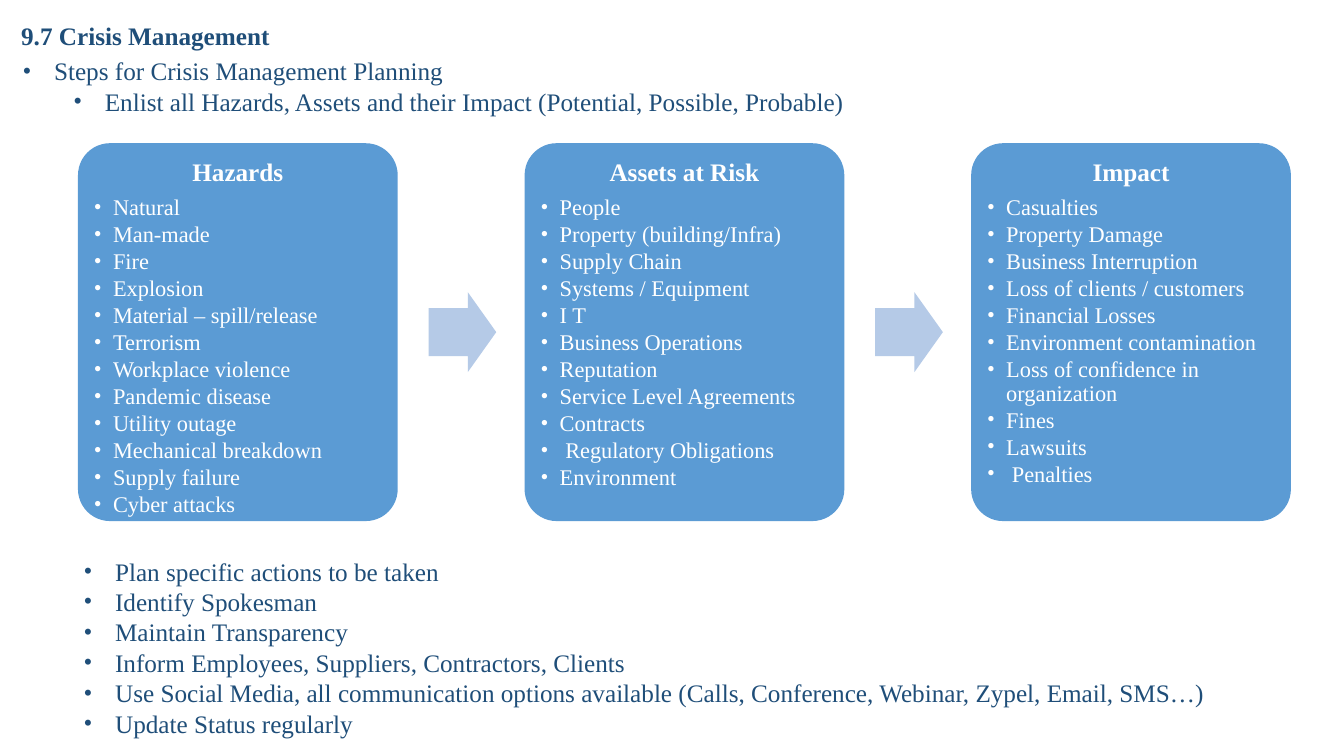
import lxml.etree
import pptx
import pptx.dml.color
import pptx.enum.shapes
import pptx.enum.text
import pptx.oxml.ns
import pptx.util

Pt = pptx.util.Pt
ALIGN = pptx.enum.text.PP_ALIGN
SHAPE = pptx.enum.shapes.MSO_SHAPE

COLOURS = {"navy": "1F4E79", "card": "5B9BD4", "arrow": "B5CAE7", "white": "FFFFFF"}

CARD_LEFT, CARD_TOP, CARD_WIDTH, CARD_HEIGHT = 55.7, 102.3, 228.4, 269.9
CARD_PITCH = 319
ARROW_WIDTH, ARROW_HEIGHT = 48.3, 57
ARROW_OFFSET = 250.5

CARDS = [
    ("Hazards", ["Natural", "Man-made", "Fire", "Explosion", "Material – spill/release",
                 "Terrorism", "Workplace violence", "Pandemic disease", "Utility outage",
                 "Mechanical breakdown", "Supply failure", "Cyber attacks"]),
    ("Assets at Risk", ["People", "Property (building/Infra)", "Supply Chain",
                        "Systems / Equipment", "I T", "Business Operations", "Reputation",
                        "Service Level Agreements", "Contracts", "Regulatory Obligations",
                        "Environment"]),
    ("Impact", ["Casualties", "Property Damage", "Business Interruption",
                "Loss of clients / customers", "Financial Losses",
                "Environment contamination", "Loss of confidence in organization",
                "Fines", "Lawsuits", "Penalties"]),
]
WIDER_INDENT = {"Regulatory Obligations", "Penalties"}
WRAPPED = {"Loss of confidence in organization"}

PLANNING = [("Steps for Crisis Management Planning", 0),
            ("Enlist all Hazards, Assets and their Impact (Potential, Possible, Probable)", 1)]
ACTIONS = [("Plan specific actions to be taken", 0),
           ("Identify Spokesman", 0),
           ("Maintain Transparency", 0),
           ("Inform Employees, Suppliers, Contractors, Clients", 0),
           ("Use Social Media, all communication options available "
            "(Calls, Conference, Webinar, Zypel, Email, SMS…)", 0),
           ("Update Status regularly", 0)]


class SlideBuilder:
    font_name = "Times New Roman"
    large, small = 18, 16

    def __init__(self, slide):
        self.slide = slide

    def colour(self, name):
        return pptx.dml.color.RGBColor.from_string(COLOURS[name])

    def frame(self, shape, side=0, top=0):
        """Set the insets of a text frame and anchor its text at the top."""
        frame = shape.text_frame
        frame.word_wrap = True
        frame.auto_size = pptx.enum.text.MSO_AUTO_SIZE.NONE
        frame.vertical_anchor = pptx.enum.text.MSO_ANCHOR.TOP
        frame.margin_left = frame.margin_right = Pt(side)
        frame.margin_top, frame.margin_bottom = Pt(top), 0
        return frame

    def set_text(self, para, text, size, colour, bold=False, align=ALIGN.LEFT,
                 before=0, line=None):
        para.text = text
        para.alignment = align
        para.space_before = Pt(before)
        para.space_after = Pt(0)
        if line:
            para.line_spacing = Pt(line)
        para.font.name = self.font_name
        para.font.size = Pt(size)
        para.font.bold = bold
        para.font.color.rgb = self.colour(colour)

    def bullet(self, para, indent, hanging):
        properties = para._p.get_or_add_pPr()
        properties.set("marL", str(Pt(indent)))
        properties.set("indent", str(-Pt(hanging)))
        for tag, key, value in (("a:buFont", "typeface", self.font_name),
                                ("a:buChar", "char", "•")):
            mark = lxml.etree.SubElement(properties, pptx.oxml.ns.qn(tag))
            mark.set(key, value)

    def placeholder(self, index, left, top, width, height):
        holder = self.slide.placeholders[index]
        holder.left, holder.top = Pt(left), Pt(top)
        holder.width, holder.height = Pt(width), Pt(height)
        return self.frame(holder)

    def title(self, text, *place):
        frame = self.placeholder(0, *place)
        self.set_text(frame.paragraphs[0], text, self.large, "navy", bold=True)

    def bullet_list(self, index, items, *place):
        frame = self.placeholder(index, *place)
        for number, (text, level) in enumerate(items):
            para = frame.add_paragraph() if number else frame.paragraphs[0]
            para.level = level
            self.bullet(para, 23.5 + 36.3 * level, 22.5)
            self.set_text(para, text, self.large, "navy", line=21.7)

    def preset(self, kind, colour, adjustments, left, top, width, height):
        shape = self.slide.shapes.add_shape(kind, Pt(left), Pt(top), Pt(width), Pt(height))
        for number, value in enumerate(adjustments):
            shape.adjustments[number] = value
        shape.shadow.inherit = False
        shape.fill.solid()
        shape.fill.fore_color.rgb = self.colour(colour)
        shape.line.fill.background()
        return shape

    def card(self, left, heading, items):
        card = self.preset(SHAPE.ROUNDED_RECTANGLE, "card", [0.1],
                           left, CARD_TOP, CARD_WIDTH, CARD_HEIGHT)
        frame = self.frame(card, side=4, top=2.5)
        self.set_text(frame.paragraphs[0], heading, self.large, "white",
                      bold=True, align=ALIGN.CENTER)
        for number, text in enumerate(items):
            para = frame.add_paragraph()
            wider = 4 if text in WIDER_INDENT else 0
            self.bullet(para, 14.4 + wider, 13.7 + wider)
            before, line = (2.9, 16.6) if text in WRAPPED else (0, 19.3)
            self.set_text(para, text, self.small, "white",
                          before=before if number else 4.7, line=line)

    def arrow(self, left):
        top = CARD_TOP + (CARD_HEIGHT - ARROW_HEIGHT) / 2
        self.preset(SHAPE.RIGHT_ARROW, "arrow", [0.6, 0.42],
                    left, top, ARROW_WIDTH, ARROW_HEIGHT)


def main():
    deck = pptx.Presentation()
    deck.slide_width, deck.slide_height = Pt(960), Pt(540)
    two_lists = deck.slide_layouts[3]
    page = SlideBuilder(deck.slides.add_slide(two_lists))

    page.title("9.7 Crisis Management", 15.1, 14.4, 190, 24)
    page.bullet_list(1, PLANNING, 15.1, 39.6, 588, 45.4)
    for number, (heading, items) in enumerate(CARDS):
        left = CARD_LEFT + number * CARD_PITCH
        page.card(left, heading, items)
        if number < len(CARDS) - 1:
            page.arrow(left + ARROW_OFFSET)
    page.bullet_list(2, ACTIONS, 58.7, 397, 806, 132)

    deck.save("out.pptx")


if __name__ == "__main__":
    main()
